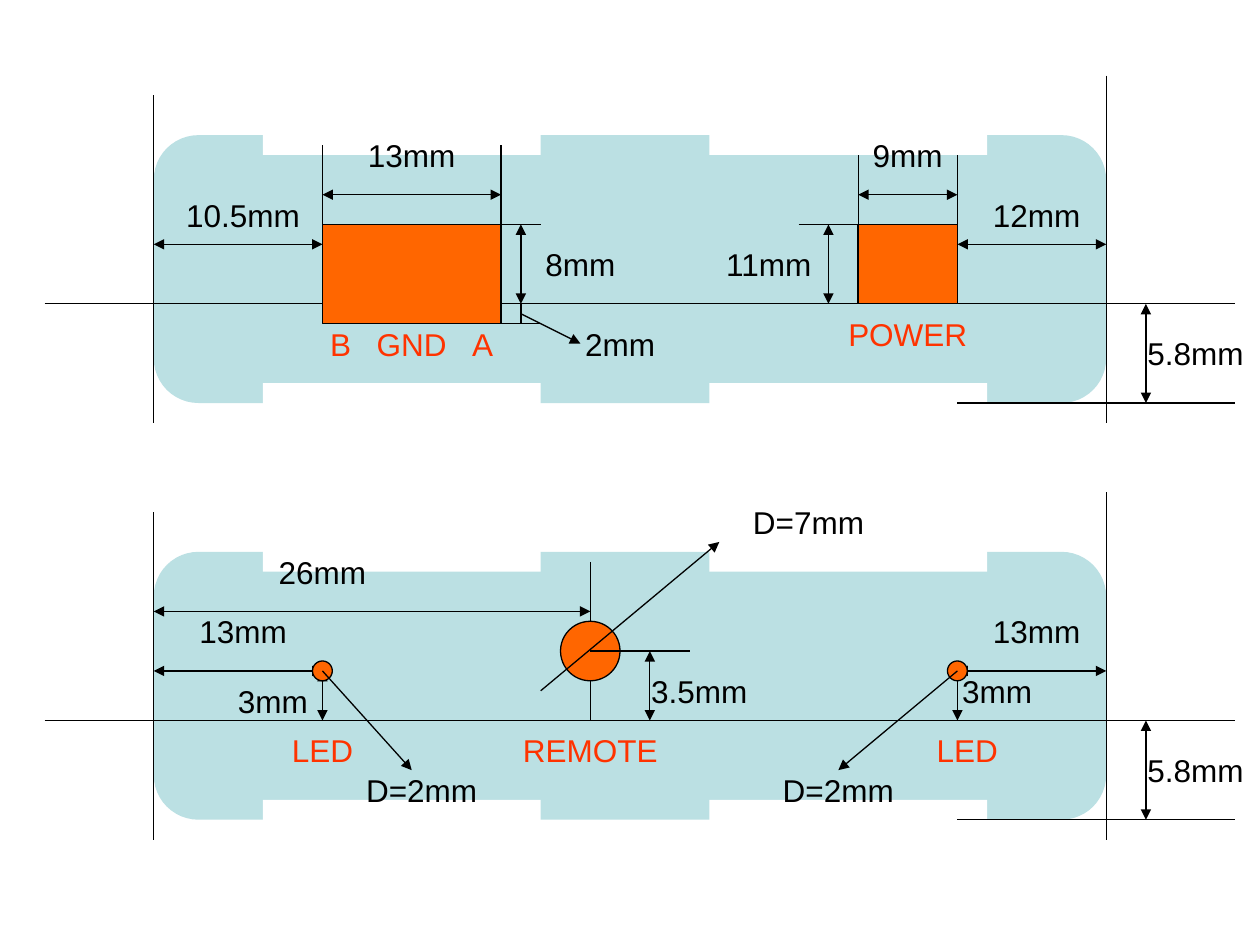
from lxml import etree
from pptx import Presentation
from pptx import util as u
from pptx.dml.color import RGBColor
from pptx.enum import shapes, text
from pptx.oxml.ns import qn

BLACK = RGBColor(0x00, 0x00, 0x00)
WHITE = RGBColor(0xFF, 0xFF, 0xFF)
BODY = RGBColor(0xBB, 0xE0, 0xE3)
HOLE = RGBColor(0xFF, 0x66, 0x00)
RED = RGBColor(0xFF, 0x33, 0x00)
FONT = {"name": "Arial", "size": u.Pt(18)}
KIND = shapes.MSO_SHAPE

PLAIN, LEAD, DIM = (), ("tailEnd",), ("headEnd", "tailEnd")
LEFT, RIGHT, DATUM, BASE = 31, 223, 61, 81
TOP = 27
START, STEP = 0.25, 84
NOTCH_W, NOTCH_H = 56, 8
NOTCHES = [(x, y - NOTCH_H / 2) for y in (TOP, BASE) for x in (53, 143)]
SLIM, WIDE, TALL = 12, 36, 8

FRAME = [
    (9, DATUM, 249, DATUM, PLAIN),
    (193, BASE, 249, BASE, PLAIN),
    (231, DATUM, 231, BASE, DIM),
    (LEFT, 19, LEFT, 85, PLAIN),
    (RIGHT, 15, RIGHT, 85, PLAIN),
]
FRAME_TAGS = [("5.8mm", 241, 71, SLIM, BLACK)]

REAR = {
    "under": [
        (LEFT, 49, 65, 49, DIM), (RIGHT, 49, 193, 49, DIM),
        (65, 39, 101, 39, DIM), (173, 39, 193, 39, DIM),
        (105, 45, 105, DATUM, DIM), (167, 45, 167, DATUM, DIM),
    ],
    "holes": [
        (KIND.RECTANGLE, 65, 45, 36, 20),
        (KIND.RECTANGLE, 173, 45, 20, 16),
    ],
    "over": [
        (65, 29, 65, 47, PLAIN), (101, 29, 101, 47, PLAIN),
        (173, 31, 173, 45, PLAIN), (193, 31, 193, 47, PLAIN),
        (101, 45, 109, 45, PLAIN), (161, 45, 173, 45, PLAIN),
        (101, 65, 109, 65, PLAIN), (105, DATUM, 105, 65, PLAIN),
        (105, 63, 117, 69, LEAD),
    ],
    "tags": [
        ("10.5mm", 49, 43, SLIM, BLACK), ("12mm", 209, 43, SLIM, BLACK),
        ("13mm", 83, 31, SLIM, BLACK), ("9mm", 183, 31, SLIM, BLACK),
        ("8mm", 117, 53, SLIM, BLACK), ("11mm", 155, 53, SLIM, BLACK),
        ("2mm", 125, 69, SLIM, BLACK), ("POWER", 183, 67, WIDE, RED),
        ("B", 68.7, 69, SLIM, RED), ("GND", 83, 69, SLIM, RED),
        ("A", 97.3, 69, SLIM, RED),
    ],
}
FRONT = {
    "under": [
        (LEFT, 51, 65, 51, DIM), (RIGHT, 51, 193, 51, DIM),
        (LEFT, 39, 119, 39, DIM), (119, 29, 119, DATUM, PLAIN),
        (65, 51, 65, DATUM, DIM), (193, 49, 193, DATUM, DIM),
    ],
    "holes": [
        (KIND.OVAL, 63, 49, 4, 4),
        (KIND.OVAL, 191, 49, 4, 4),
        (KIND.OVAL, 113, 41, 12, 12),
    ],
    "over": [
        (65, 51, 83, 71, LEAD), (193, 51, 169, 71, LEAD),
        (109, 55, 145, 25, LEAD), (119, 47, 139, 47, PLAIN),
        (131, 47, 131, DATUM, DIM),
    ],
    "tags": [
        ("13mm", 49, 43, SLIM, BLACK), ("13mm", 209, 43, SLIM, BLACK),
        ("26mm", 65, 31, SLIM, BLACK), ("3mm", 55, 57, SLIM, BLACK),
        ("3mm", 201, 55, SLIM, BLACK), ("3.5mm", 141, 55, SLIM, BLACK),
        ("D=2mm", 85, 75, SLIM, BLACK), ("D=2mm", 169, 75, SLIM, BLACK),
        ("D=7mm", 163, 21, WIDE, BLACK), ("REMOTE", 119, 67, WIDE, RED),
        ("LED", 65, 67, WIDE, RED), ("LED", 195, 67, WIDE, RED),
    ],
}


def block(host, kind, x, y, w, h, fill=None, edge=None):
    item = host.add_shape(kind, *map(u.Mm, (x, y, w, h)))
    item.shadow.inherit = False
    if fill is None:
        item.fill.background()
    else:
        item.fill.solid()
        item.fill.fore_color.rgb = fill
    if edge is None:
        item.line.fill.background()
    else:
        item.line.color.rgb = edge
        item.line.width = u.Pt(0.75)
    return item


def rule(host, x1, y1, x2, y2, ends, dy):
    item = host.add_connector(shapes.MSO_CONNECTOR.STRAIGHT,
                              *map(u.Mm, (x1, y1 + dy, x2, y2 + dy)))
    item.line.color.rgb = BLACK
    item.line.width = u.Pt(0.75)
    for end in ends:
        etree.SubElement(item.line._get_or_add_ln(), qn("a:" + end), type="triangle")
    etree.SubElement(item._element.spPr, qn("a:effectLst"))


def label(host, words, x, y, w, tint):
    box = block(host, KIND.RECTANGLE, x - w / 2, y - TALL / 2, w, TALL)
    frame = box.text_frame
    frame.word_wrap = False
    frame.vertical_anchor = text.MSO_ANCHOR.MIDDLE
    para = frame.paragraphs[0]
    para.alignment = text.PP_ALIGN.CENTER
    run = para.add_run()
    run.text = words
    for key, value in FONT.items():
        setattr(run.font, key, value)
    run.font.color.rgb = tint


def panel(host, data, dy):
    body = host.add_group_shape().shapes
    block(body, KIND.FLOWCHART_ALTERNATE_PROCESS,
          LEFT, TOP + dy, RIGHT - LEFT, BASE - TOP, BODY)
    for x, y in NOTCHES:
        block(body, KIND.RECTANGLE, x, y + dy, NOTCH_W, NOTCH_H, WHITE)
    for line in FRAME + data["under"]:
        rule(host, *line, dy)
    for kind, x, y, w, h in data["holes"]:
        block(host, kind, x, y + dy, w, h, HOLE, BLACK)
    for line in data["over"]:
        rule(host, *line, dy)
    for words, x, y, w, tint in FRAME_TAGS + data["tags"]:
        label(host, words, x, y + dy, w, tint)


def main():
    deck = Presentation()
    deck.slide_width, deck.slide_height = u.Inches(10), u.Inches(7.5)
    slide = deck.slides.add_slide(deck.slide_layouts[6])
    for row, data in enumerate((REAR, FRONT)):
        panel(slide.shapes, data, START + row * STEP)
    deck.save("out.pptx")


if __name__ == "__main__":
    main()
